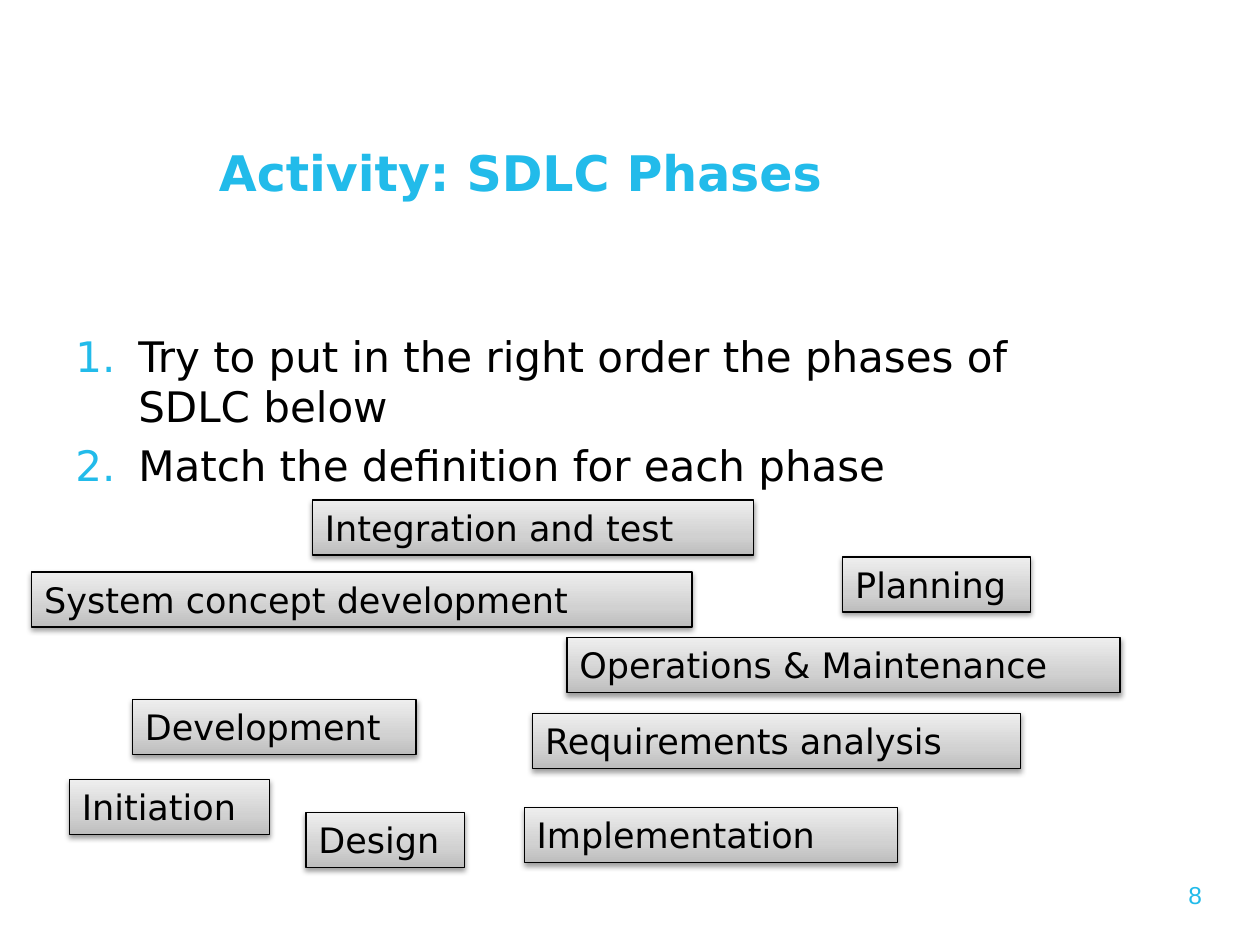
from dataclasses import dataclass

from lxml import etree
from pptx import Presentation
from pptx.dml.color import RGBColor
from pptx.enum.shapes import MSO_SHAPE
from pptx.enum.text import MSO_ANCHOR, MSO_AUTO_SIZE, PP_ALIGN
from pptx.oxml.ns import qn
from pptx.util import Cm, Pt

RECT = MSO_SHAPE.RECTANGLE
TOP, MIDDLE = MSO_ANCHOR.TOP, MSO_ANCHOR.MIDDLE
LEFT, CENTER, RIGHT = PP_ALIGN.LEFT, PP_ALIGN.CENTER, PP_ALIGN.RIGHT
GROW = MSO_AUTO_SIZE.SHAPE_TO_FIT_TEXT


@dataclass(frozen=True)
class Theme:
    accent: str = "22BBEA"
    ink: str = "000000"
    gradient: tuple = ((0, "BDBDBD"), (35, "D1D1D1"), (100, "EEEEEE"))
    font: str = "DejaVu Sans"
    number_font: str = "Arial"
    title_size: int = 28
    body_size: int = 24
    card_size: int = 20
    number_size: int = 14


THEME = Theme()
CARD_HEIGHT = 1.11
STEPS = [
    "Try to put in the right order the phases of SDLC below",
    "Match the definition for each phase",
]
PHASES = [
    ("Initiation", 1.4, 15.72, 4.04),
    ("System concept development", 0.64, 11.53, 13.31),
    ("Planning", 16.99, 11.23, 3.78),
    ("Development", 2.67, 14.1, 5.72),
    ("Requirements analysis", 10.74, 14.38, 9.83),
    ("Design", 6.17, 16.38, 3.2),
    ("Operations & Maintenance", 11.43, 12.85, 11.15),
    ("Implementation", 10.57, 16.28, 7.52),
    ("Integration and test", 6.3, 10.08, 8.89),
]


def apply(target, formats):
    for name, value in formats.items():
        setattr(target, name, value)


def add_xml(parent, tag, **attrs):
    return etree.SubElement(parent, qn(tag), {k: str(v) for k, v in attrs.items()})


def write(p, text, size, color=THEME.ink, font=THEME.font, bold=False, **formats):
    apply(p, formats)
    r = p.add_run()
    r.text = text
    apply(r.font, {"size": Pt(size), "name": font, "bold": bold})
    r.font.color.rgb = RGBColor.from_string(color)


def add_text_box(slide, box, **formats):
    tf = slide.shapes.add_textbox(*map(Cm, box)).text_frame
    apply(tf, {"word_wrap": True, **formats})
    return tf


def number_paragraph(p):
    pPr = p._p.get_or_add_pPr()
    apply_indent = {"marL": Cm(1.27), "indent": Cm(-1.27)}
    for name, value in apply_indent.items():
        pPr.set(name, str(value))
    add_xml(add_xml(pPr, "a:buClr"), "a:srgbClr", val=THEME.accent)
    add_xml(pPr, "a:buAutoNum", type="arabicPeriod")


def add_steps(slide, box, steps):
    tf = add_text_box(slide, box)
    for i, step in enumerate(steps):
        p = tf.add_paragraph() if i else tf.paragraphs[0]
        write(p, step, THEME.body_size, space_before=Pt(4.8))
        number_paragraph(p)


def fill_gradient(sp):
    sp.fill.gradient()
    sp.fill.gradient_angle = 90
    stops = sp._element.spPr.find(".//" + qn("a:gsLst"))
    for stop in list(stops):
        stops.remove(stop)
    for percent, color in THEME.gradient:
        stop = add_xml(stops, "a:gs", pos=percent * 1000)
        add_xml(stop, "a:srgbClr", val=color)


def add_shadow(sp):
    sp.shadow.inherit = False
    effects = sp._element.spPr.find(qn("a:effectLst"))
    shadow = add_xml(effects, "a:outerShdw", blurRad=Pt(3.1), dist=Pt(1.6),
                     dir=5400000, rotWithShape=0)
    color = add_xml(shadow, "a:srgbClr", val=THEME.ink)
    add_xml(color, "a:alpha", val=38000)


def add_phase_card(slide, text, left, top, width):
    box = map(Cm, (left, top, width, CARD_HEIGHT))
    sp = slide.shapes.add_shape(RECT, *box)
    fill_gradient(sp)
    sp.line.color.rgb = RGBColor.from_string(THEME.ink)
    sp.line.width = Pt(0.75)
    add_shadow(sp)
    tf = sp.text_frame
    apply(tf, {"word_wrap": True, "auto_size": GROW, "vertical_anchor": TOP})
    write(tf.paragraphs[0], text, THEME.card_size, alignment=LEFT)


def main():
    prs = Presentation()
    apply(prs, {"slide_width": Cm(25.4), "slide_height": Cm(19.05)})
    slide = prs.slides.add_slide(prs.slide_layouts[6])

    number = add_text_box(slide, (21.89, 17.73, 2.59, 0.86), auto_size=GROW)
    write(number.paragraphs[0], "8", THEME.number_size, THEME.accent,
          THEME.number_font, alignment=RIGHT, line_spacing=0.78)

    title = add_text_box(slide, (1.27, 2.16, 18.44, 2.62), vertical_anchor=MIDDLE)
    write(title.paragraphs[0], "Activity: SDLC Phases", THEME.title_size,
          THEME.accent, bold=True, alignment=CENTER)

    add_steps(slide, (1.27, 6.53, 20.75, 10.97), STEPS)
    for phase in PHASES:
        add_phase_card(slide, *phase)
    prs.save("out.pptx")


if __name__ == "__main__":
    main()
